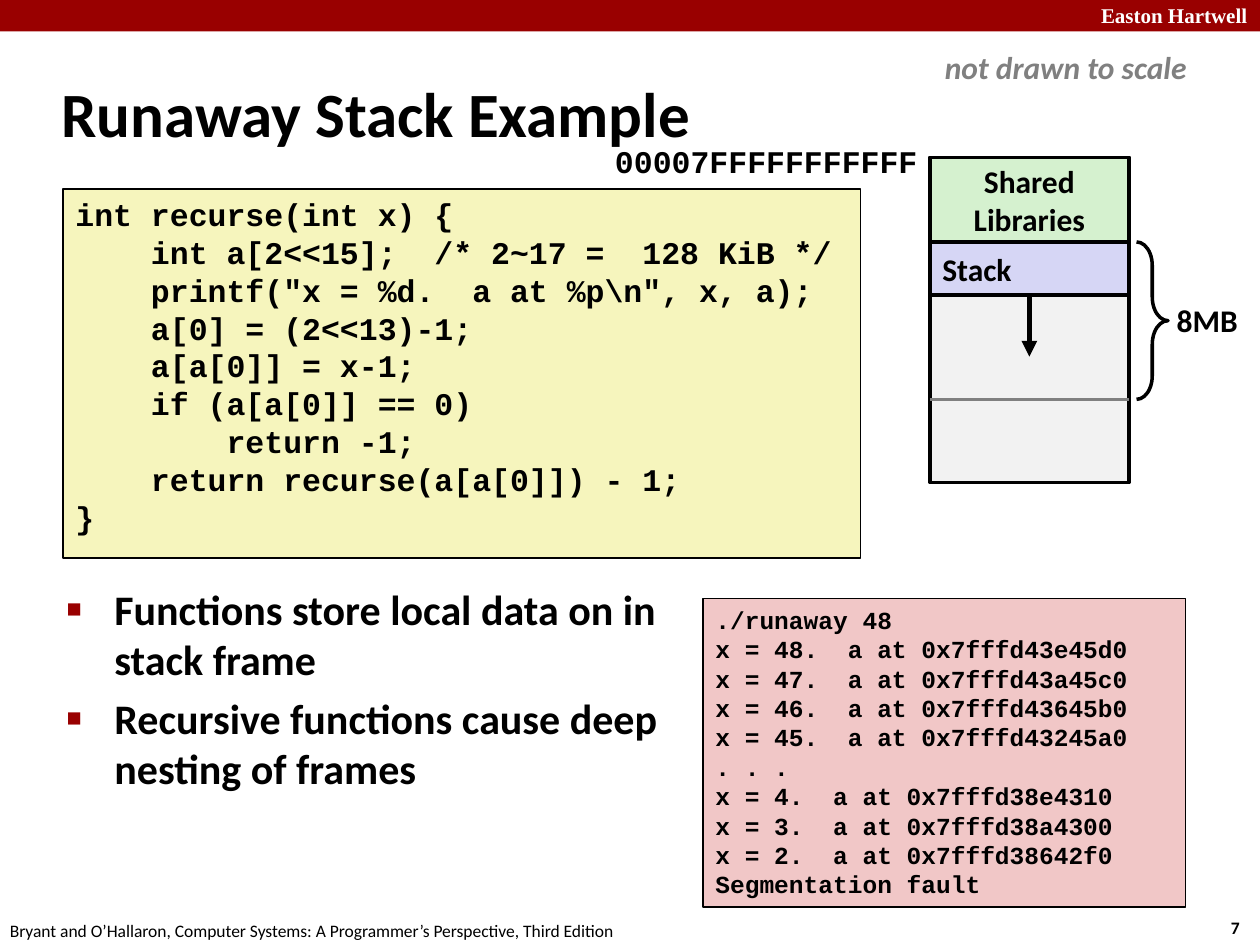
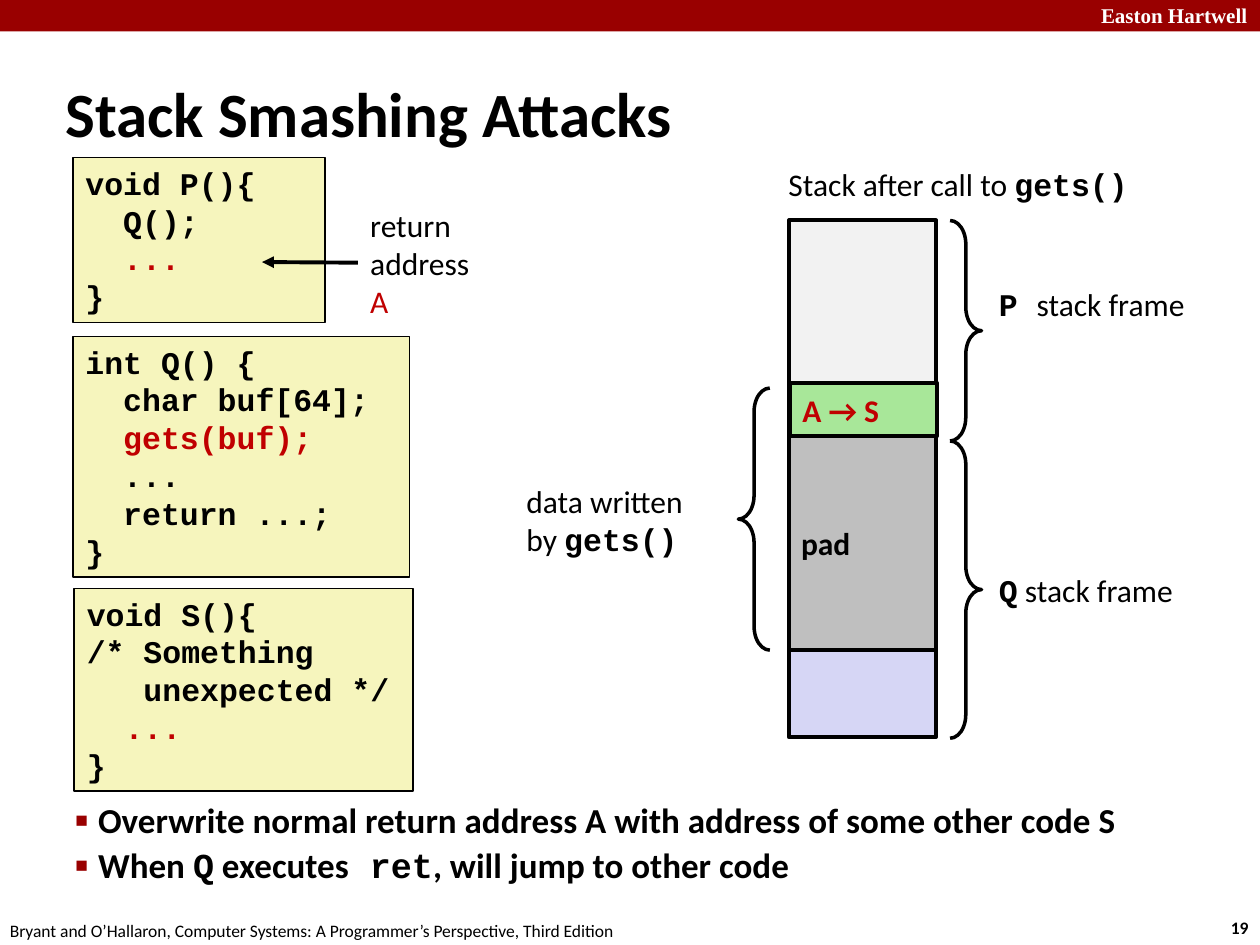
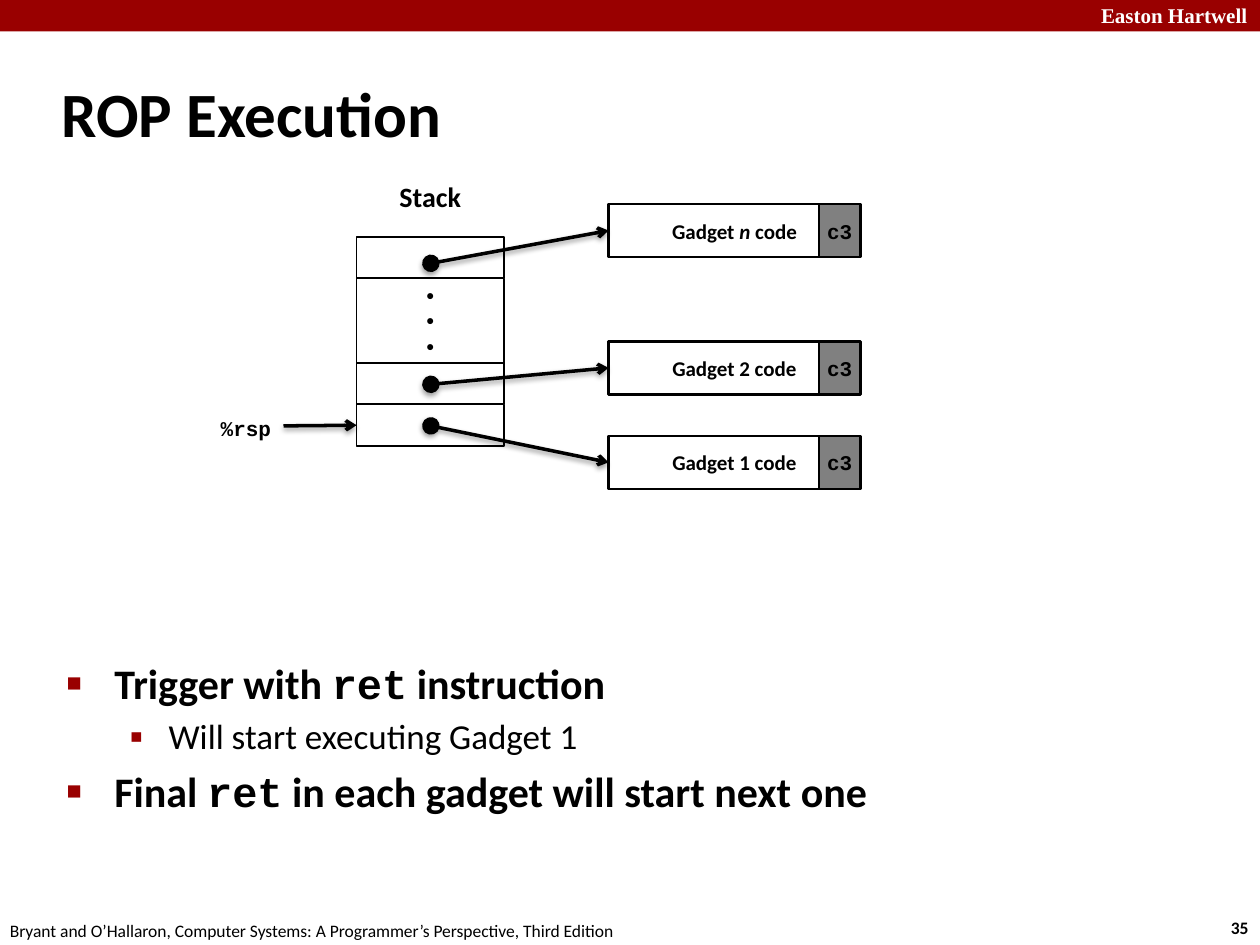
from lxml.etree import SubElement
from pptx import Presentation
from pptx.dml.color import RGBColor
from pptx.enum.shapes import MSO_CONNECTOR as Connector, MSO_SHAPE as Shape
from pptx.enum.text import MSO_ANCHOR as Anchor, PP_ALIGN as Align
from pptx.oxml.ns import qn
from pptx.util import Inches, Pt

# Shared colours and fonts
BLACK, GRAY, RED = "000000", "808080", "C00000"
CRIMSON, CODE_FILL = "990000", "F6F5BD"
LAVENDER, PALE = "D6D6F5", "F2F2F2"
SANS, MONO = "Calibri", "Courier New"
hex_color = RGBColor.from_string


def add_box(page, left, top, width, height, text=(), kind=Shape.RECTANGLE, fill=None, border=0,
            font=SANS, size=18, color=BLACK, bold=True, italic=False, align=Align.LEFT,
            anchor=Anchor.TOP, wrap=True, insets=(0.1, 0.05)):
    """Each paragraph is a string or a list of spans: strings or (text, overrides)."""
    place = [Inches(value) for value in (left, top, width, height)]
    if fill or border:
        box = page.shapes.add_shape(kind, *place)
        box.shadow.inherit = False
        if fill:
            box.fill.solid()
            box.fill.fore_color.rgb = hex_color(fill)
        else:
            box.fill.background()
        if border:
            box.line.color.rgb = hex_color(BLACK)
            box.line.width = Pt(border)
        else:
            box.line.fill.background()
    else:
        box = page.shapes.add_textbox(*place)

    frame = box.text_frame
    frame.word_wrap = wrap
    frame.vertical_anchor = anchor
    frame.margin_left = frame.margin_right = Inches(insets[0])
    frame.margin_top = frame.margin_bottom = Inches(insets[1])
    for index, line in enumerate([text] if isinstance(text, str) else text):
        para = frame.add_paragraph() if index else frame.paragraphs[0]
        para.alignment = align
        for part in [line] if isinstance(line, str) else line:
            words, changes = (part, {}) if isinstance(part, str) else part
            style = dict(font=font, size=size, color=color, bold=bold, italic=italic) | changes
            span = para.add_run()
            span.text = words
            span.font.name = style["font"]
            span.font.size = Pt(style["size"])
            span.font.bold = style["bold"]
            span.font.italic = style["italic"]
            span.font.color.rgb = hex_color(style["color"])
    return box


def add_line(page, start, end, width, color=BLACK, head=None, tail=None, shadow=False):
    line = page.shapes.add_connector(Connector.STRAIGHT, *map(Inches, start + end))
    line.line.color.rgb = hex_color(color)
    line.line.width = Pt(width)
    outline = line.line._get_or_add_ln()
    if head:
        SubElement(outline, qn("a:headEnd"), type=head, w="lg", len="lg")
    if tail:
        SubElement(outline, qn("a:tailEnd"), type=tail)
    effects = SubElement(line._element.spPr, qn("a:effectLst"))
    if shadow:
        outer = SubElement(effects, qn("a:outerShdw"), blurRad=str(Pt(3.1)), dist=str(Pt(1.6)),
                           dir="5400000", rotWithShape="0")
        shade = SubElement(outer, qn("a:srgbClr"), val=BLACK)
        SubElement(shade, qn("a:alpha"), val="38000")
    return line


deck = Presentation()
deck.slide_width, deck.slide_height = Inches(10), Inches(7.5)

# Band, footers and title of every page
pages = []
for title, number, place in [
    ("Runaway Stack Example", "7", (0.39, 0.48, 8.3, 0.83)),
    ("Stack Smashing Attacks", "19", (0.42, 0.58, 9.08, 0.63)),
    ("ROP Execution", "35", (0.39, 0.48, 8.3, 0.83)),
]:
    page = deck.slides.add_slide(deck.slide_layouts[6])
    add_box(page, 0, 0, 10, 0.25, fill=CRIMSON)
    add_box(page, 8.64, -0.03, 1.43, 0.3, "Easton Hartwell", font="Times New Roman", size=12,
            color="FFFFFF", wrap=False)
    add_box(page, 9.67, 7.23, 0.37, 0.27, number, size=10, wrap=False)
    add_box(page, -0.02, 7.25, 5.08, 0.27,
            "Bryant and O’Hallaron, Computer Systems: A Programmer’s Perspective, Third Edition",
            size=10, bold=False, wrap=False)
    add_box(page, *place, title, size=36, anchor=Anchor.MIDDLE)
    pages.append(page)
runaway, smashing, rop = pages

# Runaway stack: code, points and program output
runaway_points = add_box(runaway, 0.43, 4.58, 5.07, 2.34, [
    "Functions store local data on in stack frame",
    "Recursive functions cause deep nesting of frames",
], size=24)
add_box(runaway, 0.5, 1.5, 6.33, 2.93, [
    "int recurse(int x) {",
    "    int a[2<<15];  /* 2~17 =  128 KiB */",
    '    printf("x = %d.  a at %p\\n", x, a);',
    "    a[0] = (2<<13)-1;",
    "    a[a[0]] = x-1;",
    "    if (a[a[0]] == 0)",
    "        return -1;",
    "    return recurse(a[a[0]]) - 1;",
    "}",
], font=MONO, fill=CODE_FILL, border=1)
add_box(runaway, 5.58, 4.75, 3.83, 2.45, [
    "./runaway 48",
    "x = 48.  a at 0x7fffd43e45d0",
    "x = 47.  a at 0x7fffd43a45c0",
    "x = 46.  a at 0x7fffd43645b0",
    "x = 45.  a at 0x7fffd43245a0",
    ". . .",
    "x = 4.  a at 0x7fffd38e4310",
    "x = 3.  a at 0x7fffd38a4300",
    "x = 2.  a at 0x7fffd38642f0",
    "Segmentation fault",
], font=MONO, size=14, fill="F1C7C7", border=1)

# Runaway stack: memory layout
add_box(runaway, 7.4, 0.33, 2.13, 0.4, "not drawn to scale", color=GRAY, italic=True, wrap=False)
add_box(runaway, 4.75, 1.08, 2.63, 0.4, "00007FFFFFFFFFFF", font=MONO, align=Align.RIGHT,
        wrap=False)
add_box(runaway, 7.38, 1.25, 1.58, 2.58, fill=PALE, border=2)
stack = add_box(runaway, 7.38, 1.92, 1.58, 0.42, "Stack", fill=LAVENDER, border=2,
                anchor=Anchor.MIDDLE, wrap=False)
growth = add_line(runaway, (8.17, 2.34), (8.17, 2.83), 3, tail="triangle")
growth.begin_connect(stack, 2)
add_box(runaway, 7.38, 1.25, 1.58, 0.67, ["Shared", "Libraries"], fill="D5F1CF", border=2,
        align=Align.CENTER, anchor=Anchor.MIDDLE, wrap=False)
add_line(runaway, (7.38, 3.17), (8.96, 3.17), 2, GRAY)
add_box(runaway, 9.24, 2.34, 0.69, 0.4, "8MB", wrap=False)

# Stack smashing: points and code
mono, plain, red = {"font": MONO, "bold": True}, {"font": SANS, "bold": False}, {"color": RED}
smashing_points = add_box(smashing, 0.5, 6.08, 9.03, 1.25, [
    "Overwrite normal return address A with address of some other code S",
    ["When ", ("Q", mono), " executes", (" ret", mono), ", will jump to other code"],
], size=20, anchor=Anchor.MIDDLE)
for place, code in [
    ((0.58, 1.25, 2, 1.31), ["void P(){", "  Q();", ["  ", ("...", red)], "}"]),
    ((0.58, 2.67, 2.67, 1.91), ["int Q() {", "  char buf[64];", ["  ", ("gets(buf);", red)],
                                "  ...", "  return ...;", "}"]),
    ((0.59, 4.67, 2.69, 1.61), ["void S(){", "/* Something", "   unexpected */",
                                ["  ", ("...", red)], "}"]),
]:
    add_box(smashing, *place, code, font=MONO, fill=CODE_FILL, border=1)
return_label = add_box(smashing, 2.84, 1.58, 1, 1.01, ["return", "address", [("A", red)]],
                       bold=False, anchor=Anchor.MIDDLE, wrap=False)
return_arrow = add_line(smashing, (2.84, 2.08), (2.08, 2.08), 2.25, tail="triangle")
return_arrow.begin_connect(return_label, 1)

# Stack smashing: stack after the call
add_box(smashing, 6.16, 1.26, 2.93, 0.4, [["Stack after call to ", ("gets()", mono)]],
        bold=False, wrap=False)
add_box(smashing, 6.26, 1.75, 1.17, 1.7, fill=PALE, border=2.25)
add_box(smashing, 6.26, 3.45, 1.17, 2.4, fill=LAVENDER, border=2.25)
add_box(smashing, 6.26, 3.45, 1.17, 1.71, "pad", fill="BFBFBF", border=2.25,
        anchor=Anchor.MIDDLE)
add_box(smashing, 6.27, 3.04, 1.17, 0.42, "A → S", fill="A8E799", border=2.25, color=RED,
        anchor=Anchor.MIDDLE, wrap=False)
add_box(smashing, 7.83, 2.21, 1.7, 0.4, [["P ", ("stack frame", plain)]], font=MONO,
        anchor=Anchor.MIDDLE, wrap=False)
add_box(smashing, 7.83, 4.48, 1.61, 0.4, [["Q", (" stack frame", plain)]], font=MONO,
        anchor=Anchor.MIDDLE, wrap=False)
add_box(smashing, 4.08, 3.77, 1.5, 0.71, ["data written", ["by ", ("gets()", mono)]],
        bold=False, anchor=Anchor.MIDDLE)

# Braces beside both stacks
for page, left, top, height, kind in [
    (runaway, 9.02, 1.92, 1.25, Shape.RIGHT_BRACE),
    (smashing, 7.54, 1.75, 1.75, Shape.RIGHT_BRACE),
    (smashing, 7.54, 3.5, 2.36, Shape.RIGHT_BRACE),
    (smashing, 5.86, 3.08, 2.08, Shape.LEFT_BRACE),
]:
    brace = add_box(page, left, top, 0.25, height, kind=kind, border=2)
    brace.adjustments[0] = 0.75

# ROP: points
rop_points = add_box(rop, 0.43, 5.17, 8.64, 1.76, [
    ["Trigger with ", ("ret", mono), " instruction"],
    [("Will start executing Gadget 1", {"size": 20, "bold": False})],
    ["Final ", ("ret", mono), " in each gadget will start next one"],
], size=24)

# ROP: stack cells, each pointing at its gadget
add_box(rop, 2.83, 1.38, 1.17, 0.37, "Stack", size=16, align=Align.CENTER)
add_box(rop, 2.83, 2.21, 1.17, 0.67, ["•"] * 3, font="Arial", size=12, border=1,
        align=Align.CENTER, anchor=Anchor.MIDDLE, wrap=False, insets=(0.1, 0))
for cell_top, gadget_top, label in [
    (1.88, 1.62, ["Gadget ", ("n", {"italic": True}), " code"]),
    (2.88, 2.71, "Gadget 2 code"),
    (3.21, 3.46, "Gadget 1 code"),
]:
    cell = add_box(rop, 2.83, cell_top, 1.17, 0.33, border=1)
    add_box(rop, 6.5, gadget_top, 0.33, 0.42, "c3", font=MONO, size=12, fill=GRAY, border=1,
            align=Align.CENTER, anchor=Anchor.MIDDLE, insets=(0, 0.05))
    gadget = add_box(rop, 4.83, gadget_top, 2, 0.42, [label], size=12, border=1.5,
                     align=Align.CENTER, anchor=Anchor.MIDDLE)
    pointer = add_line(rop, (3.42, cell_top + 0.17 + (0.04 if cell_top < 2 else 0)),
                       (4.83, gadget_top + 0.21), 2, head="oval", tail="arrow", shadow=True)
    pointer.end_connect(gadget, 1)

# ROP: stack pointer at the lowest cell
add_box(rop, 1.08, 3.23, 1.17, 0.33, "%rsp", font=MONO, size=12, align=Align.RIGHT,
        anchor=Anchor.MIDDLE)
rsp_arrow = add_line(rop, (2.25, 3.38), (2.83, 3.38), 2, tail="arrow", shadow=True)
rsp_arrow.end_connect(cell, 1)

# Red square bullets: margin, indent, mark, percent of text size, space before
main_point = (0.38, -0.38, "■", 60, 4.8)
sub_point = (0.81, -0.31, "▪", 110, 4)
tight_point = (0.18, -0.38, "■", 60, 4)
for body, bullets, spacing in [
    (runaway_points, [main_point] * 2, 1),
    (smashing_points, [tight_point] * 2, 0.9),
    (rop_points, [main_point, sub_point, main_point], 1),
]:
    for para, (margin, indent, mark, percent, before) in zip(body.text_frame.paragraphs, bullets):
        para.line_spacing = spacing
        para.space_before = Pt(before)
        props = para._p.get_or_add_pPr()
        props.set("marL", str(Inches(margin)))
        props.set("indent", str(Inches(indent)))
        SubElement(SubElement(props, qn("a:buClr")), qn("a:srgbClr"), val=CRIMSON)
        SubElement(props, qn("a:buSzPct"), val=str(percent * 1000))
        SubElement(props, qn("a:buFont"), typeface="Arial")
        SubElement(props, qn("a:buChar"), char=mark)

deck.save("out.pptx")
